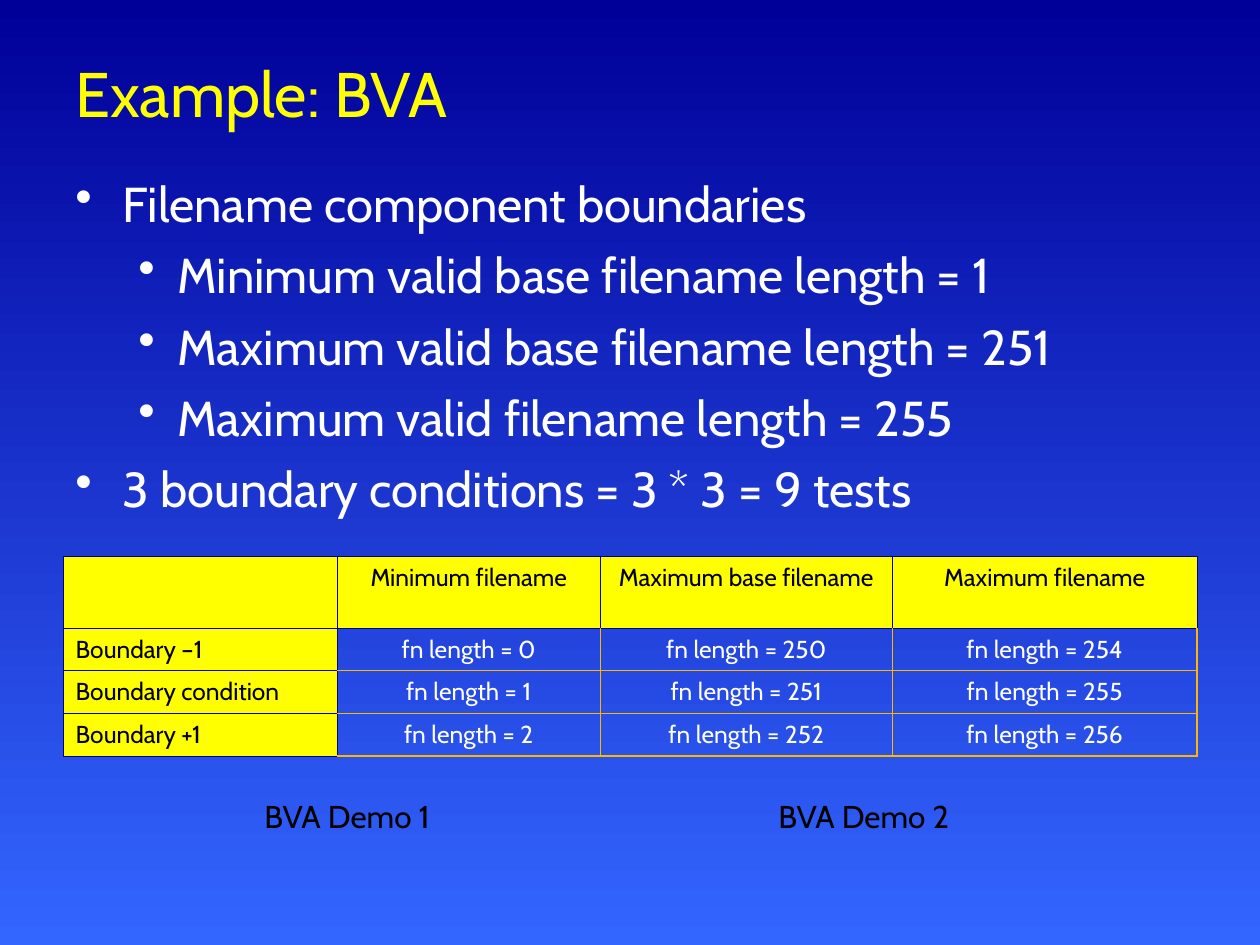
"""Build the boundary value analysis example slide."""
from lxml.etree import SubElement
from pptx import Presentation
from pptx.dml.color import RGBColor
from pptx.enum.text import MSO_ANCHOR, PP_ALIGN
from pptx.oxml.ns import qn
from pptx.util import Cm, Pt

FONT = "Cabin"
NAVY, BLUE, YELLOW, GOLD = "000099", "3366FF", "FFFF00", "FFB601"
WHITE, BLACK = "FFFFFF", "000000"

TITLE = "Example: BVA"
BULLETS = [
    (0, "Filename component boundaries"),
    (1, "Minimum valid base filename length = 1"),
    (1, "Maximum valid base filename length = 251"),
    (1, "Maximum valid filename length = 255"),
    (0, "3 boundary conditions = 3 * 3 = 9 tests"),
]
INDENTS = [(0.95, -0.95), (2.06, -0.79)]
TABLE = [
    ["", "Minimum filename", "Maximum base filename", "Maximum filename"],
    ["Boundary –1", "fn length = 0", "fn length = 250", "fn length = 254"],
    ["Boundary condition", "fn length = 1", "fn length = 251", "fn length = 255"],
    ["Boundary +1", "fn length = 2", "fn length = 252", "fn length = 256"],
]
COL_WIDTHS = [5.53, 5.3, 5.89, 6.14]
ROW_HEIGHTS = [1.44, 0.86, 0.86, 0.86]
DEMOS = [("BVA Demo 1", 5.08), ("BVA Demo 2", 15.44)]


def rgb(color):
    return RGBColor.from_string(color)


def add_text(p, text, size=18, color=BLACK, align=PP_ALIGN.LEFT, before=0, level=None):
    if level is not None:
        left, first = INDENTS[level]
        p.level = level
        pPr = p._p.get_or_add_pPr()
        pPr.set("marL", str(Cm(left)))
        pPr.set("indent", str(Cm(first)))
        buClr = SubElement(pPr, qn("a:buClr"))
        SubElement(buClr, qn("a:srgbClr"), val=color)
        SubElement(pPr, qn("a:buChar"), char="•")
    p.alignment = align
    if before:
        p.space_before = Pt(before)
    r = p.add_run()
    r.text = text
    r.font.name, r.font.size = FONT, Pt(size)
    r.font.color.rgb = rgb(color)


def add_box(s, left, top, width, height, anchor=MSO_ANCHOR.TOP):
    tf = s.shapes.add_textbox(Cm(left), Cm(top), Cm(width), Cm(height)).text_frame
    tf.word_wrap = True
    tf.vertical_anchor = anchor
    return tf


def set_border(cell, side, color, width):
    ln = SubElement(cell._tc.get_or_add_tcPr(), qn(f"a:ln{side}"), w=str(Pt(width)))
    fill = SubElement(ln, qn("a:solidFill"))
    SubElement(fill, qn("a:srgbClr"), val=color)


def add_table(s, left, top):
    tbl = s.shapes.add_table(len(TABLE), len(TABLE[0]), Cm(left), Cm(top),
                             Cm(sum(COL_WIDTHS)), Cm(sum(ROW_HEIGHTS))).table
    tbl.first_row = tbl.horz_banding = False
    for col, width in zip(tbl.columns, COL_WIDTHS):
        col.width = Cm(width)
    for row, height in zip(tbl.rows, ROW_HEIGHTS):
        row.height = Cm(height)
    for i, texts in enumerate(TABLE):
        for j, text in enumerate(texts):
            cell = tbl.cell(i, j)
            heading = i == 0 or j == 0
            for side in "LRTB":
                dark = heading or (side == "L" and j == 1) or (side == "T" and i == 1)
                set_border(cell, side, *((NAVY, 0.45) if dark else (GOLD, 0.75)))
            if heading:
                cell.fill.solid()
                cell.fill.fore_color.rgb = rgb(YELLOW)
            else:
                cell.fill.background()
            if text:
                add_text(cell.text_frame.paragraphs[0], text, size=14,
                         color=BLACK if heading else WHITE,
                         align=PP_ALIGN.CENTER if j else PP_ALIGN.LEFT)


def main():
    prs = Presentation()
    prs.slide_width, prs.slide_height = Cm(25.4), Cm(19.05)
    s = prs.slides.add_slide(prs.slide_layouts[6])

    fill = s.background.fill
    fill.gradient()
    fill.gradient_angle = 270
    for stop, color in zip(fill.gradient_stops, (NAVY, BLUE)):
        stop.color.rgb = rgb(color)

    tf = add_box(s, 1.27, 0.76, 22.86, 2.21, MSO_ANCHOR.MIDDLE)
    add_text(tf.paragraphs[0], TITLE, size=36, color=YELLOW)

    tf = add_box(s, 1.27, 3.38, 22.86, 13.64)
    for i, (level, text) in enumerate(BULLETS):
        p = tf.add_paragraph() if i else tf.paragraphs[0]
        add_text(p, text, size=28, color=WHITE, before=7 if i else 0, level=level)

    add_table(s, 1.27, 11.22)

    for text, left in DEMOS:
        tf = add_box(s, left, 15.95, 4.45, 1.02)
        add_text(tf.paragraphs[0], text)

    prs.save("out.pptx")


if __name__ == "__main__":
    main()
